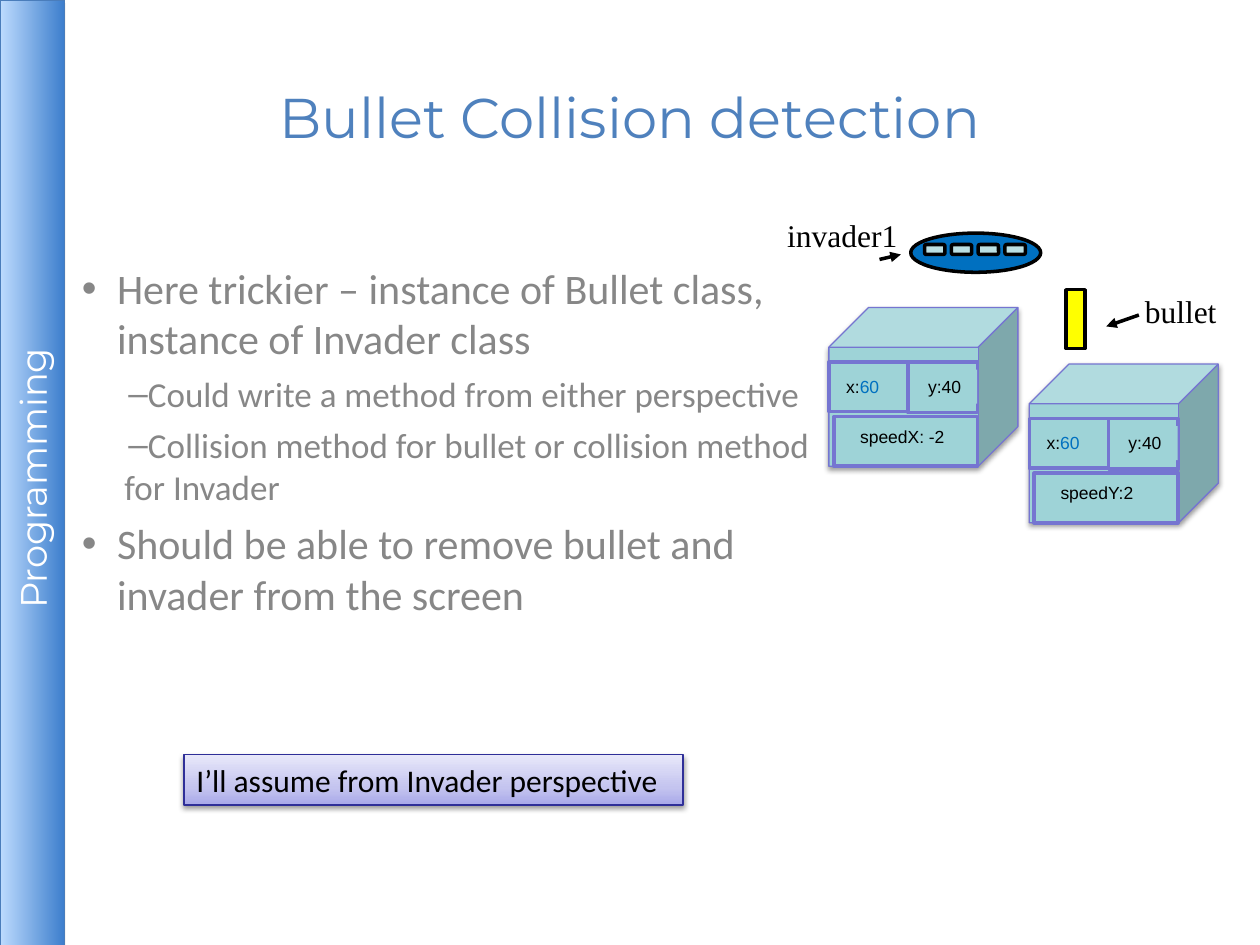
from dataclasses import dataclass

from lxml.etree import SubElement
from pptx import Presentation
from pptx.dml.color import RGBColor as RGB
from pptx.enum.shapes import MSO_CONNECTOR as LINE, MSO_SHAPE as SHAPE
from pptx.enum.text import MSO_ANCHOR as ANCHOR, PP_ALIGN as ALIGN
from pptx.oxml.ns import qn
from pptx.util import Cm, Pt


@dataclass(frozen=True)
class Theme:
    heading: str = "Montserrat"
    body: str = "Calibri"
    label: str = "Times New Roman"
    field: str = "Arial"
    blue: str = "4F81BD"
    grey: str = "878787"
    black: str = "000000"
    white: str = "FFFFFF"
    ship: str = "0070C0"
    window: str = "BBE0E3"
    yellow: str = "FFFF00"
    cube: str = "9ED3D7"
    cube_line: str = "7575D1"
    side_line: str = "4A7DBB"
    note_line: str = "2F2F98"
    side_stops: tuple = ((0, "BDDBFE"), (100, "3E7FCD"))
    note_stops: tuple = ((0, "A9A9E9"), (35, "C4C4EF"), (100, "E8E8FA"))
    title_pt: int = 32
    side_pt: int = 21
    point_pt: int = 24
    subpoint_pt: int = 20
    label_pt: int = 18
    field_pt: int = 10
    thin: float = 0.75
    thick: int = 2


T = Theme()
NO_INSET_GAP = Cm(0.1)
TIGHT = dict.fromkeys(
    ("margin_left", "margin_right", "margin_top", "margin_bottom"), NO_INSET_GAP)


def apply(target, values):
    for name, value in values.items():
        setattr(target, name, value)


def lengths(box):
    return [Cm(value) for value in box]


def write(paragraph, runs, font, size, color):
    """Runs are strings, or (string, colour) pairs."""
    for part in runs:
        words, tint = (part, color) if isinstance(part, str) else part
        run = paragraph.add_run()
        run.text = words
        apply(run.font, {"name": font, "size": Pt(size)})
        run.font.color.rgb = RGB.from_string(tint)


def add_shape(shapes, kind, box, fill=None, line=None, width=T.thick):
    shape = shapes.add_shape(kind, *lengths(box))
    shape.shadow.inherit = False
    if fill:
        shape.fill.solid()
        shape.fill.fore_color.rgb = RGB.from_string(fill)
    if line:
        shape.line.color.rgb = RGB.from_string(line)
        shape.line.width = Pt(width)
    else:
        shape.line.fill.background()
    return shape


def set_gradient(shape, stops, angle):
    shape.fill.gradient()
    shape.fill.gradient_angle = angle
    stop_list = shape._element.spPr.find(f".//{qn('a:gsLst')}")
    for old in list(stop_list):
        stop_list.remove(old)
    for percent, color in stops:
        stop = SubElement(stop_list, qn("a:gs"), pos=str(percent * 1000))
        SubElement(stop, qn("a:srgbClr"), val=color)


def set_shadow(shape, alpha, blur, distance):
    effects = shape._element.spPr.find(qn("a:effectLst"))
    shadow = SubElement(effects, qn("a:outerShdw"), blurRad=str(Pt(blur)),
                        dist=str(Pt(distance)), dir="5400000", rotWithShape="0")
    color = SubElement(shadow, qn("a:srgbClr"), val=T.black)
    SubElement(color, qn("a:alpha"), val=str(alpha * 1000))


def set_bullet(paragraph, mark, margin, indent):
    props = paragraph._p.get_or_add_pPr()
    props.set("marL", str(Cm(margin)))
    props.set("indent", str(Cm(indent)))
    SubElement(props, qn("a:buFont"), typeface=T.field)
    SubElement(props, qn("a:buChar"), char=mark)


def add_sidebar(slide, box):
    # The bar is laid flat around the centre of its box, then turned upright
    left, top, width, height = box
    flat = (left + (width - height) / 2, top + (height - width) / 2, height, width)
    bar = add_shape(slide.shapes, SHAPE.RECTANGLE, flat, line=T.side_line, width=T.thin)
    bar.rotation = 270
    set_gradient(bar, T.side_stops, 270)
    set_shadow(bar, 35, 0, 1.8)
    apply(bar.text_frame, {**TIGHT, "vertical_anchor": ANCHOR.MIDDLE})
    paragraph = bar.text_frame.paragraphs[0]
    paragraph.alignment = ALIGN.CENTER
    write(paragraph, ["Programming "], T.heading, T.side_pt, T.white)


def add_title(slide, box):
    frame = slide.shapes.add_textbox(*lengths(box)).text_frame
    apply(frame, {**TIGHT, "word_wrap": True, "vertical_anchor": ANCHOR.MIDDLE})
    frame.paragraphs[0].alignment = ALIGN.CENTER
    write(frame.paragraphs[0], ["Bullet Collision detection"],
          T.heading, T.title_pt, T.blue)


def add_points(slide, box, points):
    frame = slide.shapes.add_textbox(*lengths(box)).text_frame
    apply(frame, {**TIGHT, "word_wrap": True, "margin_top": Cm(1.35)})
    styles = (("•", 0.71, -0.71, T.point_pt, 6), ("–", 0.86, 0.08, T.subpoint_pt, 5.2))
    for index, (level, words) in enumerate(points):
        mark, margin, indent, size, gap = styles[level]
        paragraph = frame.add_paragraph() if index else frame.paragraphs[0]
        apply(paragraph, {"level": level, "space_before": Pt(gap if index else 0)})
        set_bullet(paragraph, mark, margin, indent)
        write(paragraph, [words], T.body, size, T.grey)


def add_note(slide, box):
    note = add_shape(slide.shapes, SHAPE.RECTANGLE, box, line=T.note_line, width=T.thin)
    set_gradient(note, T.note_stops, 90)
    set_shadow(note, 38, 3.1, 1.6)
    apply(note.text_frame, {"word_wrap": True, "vertical_anchor": ANCHOR.TOP})
    note.text_frame.paragraphs[0].alignment = ALIGN.LEFT
    write(note.text_frame.paragraphs[0], ["I’ll assume from Invader perspective"],
          T.body, T.label_pt, T.black)


def add_label(slide, box, words, start, end):
    """A name and the arrow from it; both arrow ends are relative to the box."""
    left, top = box[:2]
    frame = slide.shapes.add_textbox(*lengths(box)).text_frame
    frame.word_wrap = False
    write(frame.paragraphs[0], [words], T.label, T.label_pt, T.black)
    ends = [(left + x, top + y) for x, y in (start, end)]
    arrow = slide.shapes.add_connector(
        LINE.STRAIGHT, *lengths(ends[0]), *lengths(ends[1]))
    arrow.line.color.rgb = RGB.from_string(T.black)
    arrow.line.width = Pt(T.thick)
    SubElement(arrow.line._get_or_add_ln(), qn("a:tailEnd"), type="triangle")
    SubElement(arrow._element.spPr, qn("a:effectLst"))


def add_invader(slide, box):
    left, top = box[:2]
    ship = slide.shapes.add_group_shape().shapes
    add_shape(ship, SHAPE.OVAL, box, T.ship, T.black)
    for column in range(4):
        window = (left + 0.28 + column * 0.54, top + 0.23, 0.41, 0.2)
        add_shape(ship, SHAPE.ROUNDED_RECTANGLE, window, T.window, T.black)


def add_object_cube(slide, box, speed, speed_width):
    left, top = box[:2]
    parts = slide.shapes.add_group_shape().shapes
    cube = add_shape(parts, SHAPE.CUBE, box, T.cube, T.cube_line, T.thin)
    set_shadow(cube, 38, 3.1, 1.6)
    # Frames for speed, x and y
    for x, y, width, height in ((0.1, 2.2, 2.9, 1), (0, 1.1, 1.6, 1),
                                (1.6, 1.1, 1.4, 1.02)):
        add_shape(parts, SHAPE.RECTANGLE, (left + x, top + y, width, height),
                  T.cube, T.cube_line)
    # Field values, with a plain patch beneath the speed
    for x, y, width, runs in ((0.1, 1.25, 1.35, ["x:", ("60", T.ship)]),
                              (1.75, 1.25, 1.24, ["y:40"]),
                              (0.18, 2.26, 1.35, []),
                              (0.38, 2.26, speed_width, [speed])):
        field = add_shape(parts, SHAPE.RECTANGLE, (left + x, top + y, width, 0.69), T.cube)
        apply(field.text_frame, {"word_wrap": True, "vertical_anchor": ANCHOR.TOP})
        field.text_frame.paragraphs[0].alignment = ALIGN.LEFT
        write(field.text_frame.paragraphs[0], runs, T.field, T.field_pt, T.black)


def main():
    deck = Presentation()
    apply(deck, {"slide_width": Cm(25.4), "slide_height": Cm(19.05)})
    slide = deck.slides.add_slide(deck.slide_layouts[6])

    add_sidebar(slide, (0, 0, 1.3, 19.08))
    add_title(slide, (1.27, 0.76, 22.86, 3.18))
    add_points(slide, (1.55, 3.94, 15.19, 10.8), (
        (0, "Here trickier – instance of Bullet class, instance of Invader class"),
        (1, "Could write a method from either perspective"),
        (1, "Collision method for bullet or collision method for Invader"),
        (0, "Should be able to remove bullet and invader from the screen")))
    add_note(slide, (3.71, 15.21, 10.06, 1.02))

    # Game objects and their fields
    add_label(slide, (22.83, 5.77, 1.98, 1.02), "bullet", (0.13, 0.58), (-0.53, 0.81))
    add_invader(slide, (18.36, 4.7, 2.62, 0.79))
    add_shape(slide.shapes, SHAPE.RECTANGLE, (21.49, 5.84, 0.38, 1.19), T.yellow, T.black)
    add_object_cube(slide, (20.75, 7.34, 3.81, 3.2), "speedY:2", 1.98)
    add_label(slide, (15.62, 4.24, 2.77, 1.02), "invader1", (2.11, 0.99), (2.54, 0.89))
    add_object_cube(slide, (16.71, 6.2, 3.81, 3.2), "speedX: -2", 2.39)
    deck.save("out.pptx")


if __name__ == "__main__":
    main()
